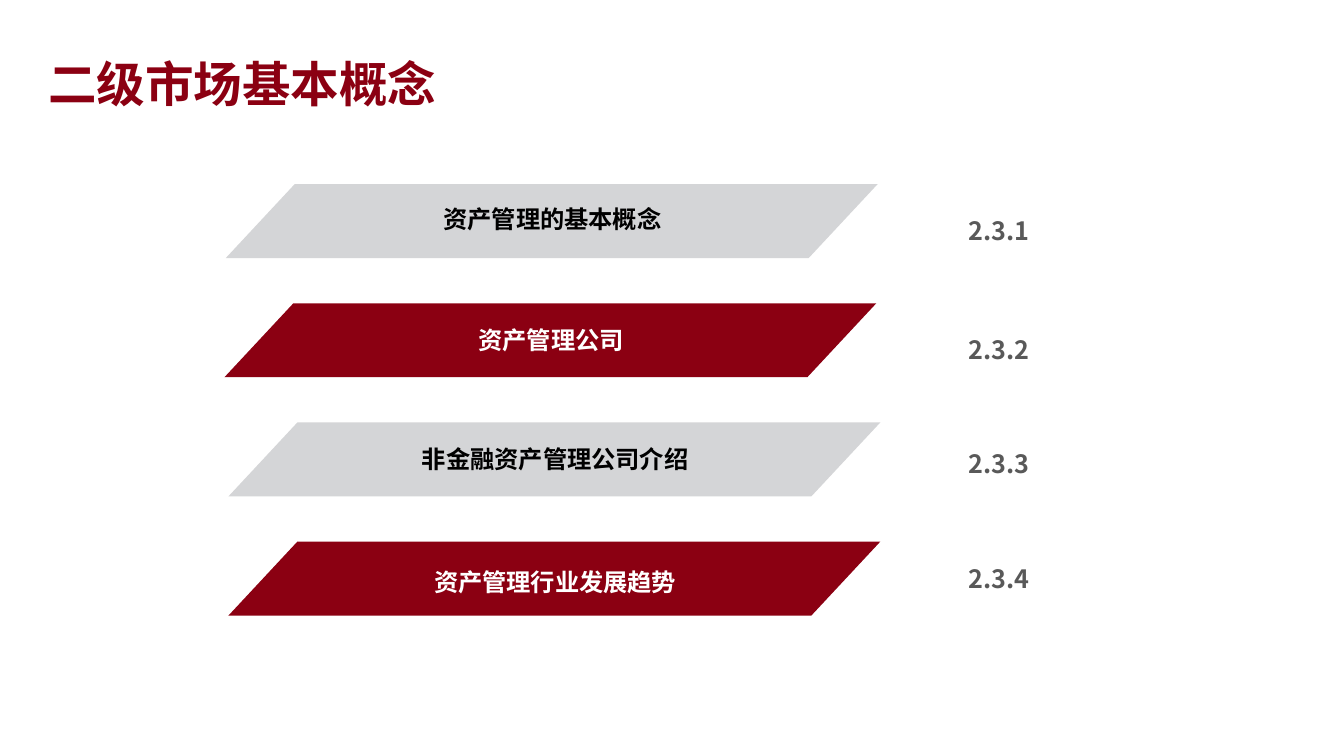
import pptx
import pptx.util
import pptx.dml.color
import pptx.enum.shapes
import pptx.enum.text
import pptx.oxml.ns
import lxml.etree

Inches = pptx.util.Inches
RGBColor = pptx.dml.color.RGBColor
ALIGN = pptx.enum.text.PP_ALIGN

RED = RGBColor(0x8B, 0x00, 0x12)
GREY = RGBColor(0xD4, 0xD5, 0xD7)
DARK = RGBColor(0x59, 0x59, 0x59)
BLACK = RGBColor(0x00, 0x00, 0x00)
WHITE = RGBColor(0xFF, 0xFF, 0xFF)
FONT = "Noto Sans CJK SC"

# Label, left shift of the row, label drop, number drop
ROWS = [
    ("资产管理的基本概念", 0.01, 0.06, 0.14),
    ("资产管理公司", 0, 0.07, 0.14),
    ("非金融资产管理公司介绍", 0.03, 0.07, 0.10),
    ("资产管理行业发展趋势", 0.03, 0.10, 0.07),
]


def add_text(slide, box, text, size, color, align, space):
    """Place one bold line of text in a box of left, top, width, height."""
    frame = slide.shapes.add_textbox(*map(Inches, box)).text_frame
    frame.word_wrap = True
    line = frame.paragraphs[0]
    run = line.add_run()
    run.text = text
    line.alignment = align
    line.line_spacing = space
    font = line.font
    font.name, font.size, font.bold = FONT, pptx.util.Pt(size), True
    font.color.rgb = color
    # East Asian face, on the run so that it takes effect
    face = lxml.etree.SubElement(run._r.get_or_add_rPr(),
                                 pptx.oxml.ns.qn("a:ea"))
    face.set("typeface", FONT)


def add_title(slide, box):
    add_text(slide, box, "二级市场基本概念", 26, RED, ALIGN.LEFT, 1.14)


def add_band(slide, box, label, fill, color, drop):
    """Draw a slanted band with its label."""
    left, top = box[:2]
    band = slide.shapes.add_shape(
        pptx.enum.shapes.MSO_SHAPE.PARALLELOGRAM, *map(Inches, box))
    band.adjustments[0] = 0.932
    band.shadow.inherit = False
    band.fill.solid()
    band.fill.fore_color.rgb = fill
    band.line.fill.background()
    add_text(slide, (left + 0.73, top + drop, 3.4, 0.34),
             label, 13, color, ALIGN.CENTER, 1.2)


def add_list(slide, box):
    """Stack the bands evenly, with the section numbers in a right column."""
    left, top, width, height = box
    band = 0.55
    step = (height - band) / (len(ROWS) - 1)
    for i, (label, shift, drop, fall) in enumerate(ROWS):
        y = top + i * step
        fill, color = ((GREY, BLACK), (RED, WHITE))[i % 2]
        add_band(slide, (left + shift, y, 4.85, band),
                 label, fill, color, drop)
        # Section number
        add_text(slide, (left + width - 1.51, y + fall, 1.51, 0.35),
                 f"2.3.{i + 1}", 13.5, DARK, ALIGN.CENTER, 1.2)


def main():
    deck = pptx.Presentation()
    # Widescreen, 16 to 9
    deck.slide_width = Inches(10)
    deck.slide_height = Inches(10 * 9 / 16)
    slide = deck.slides.add_slide(deck.slide_layouts[6])
    add_list(slide, (1.67, 1.37, 6.52, 3.21))
    add_title(slide, (0.26, 0.29, 3.7, 0.56))
    deck.save("out.pptx")


if __name__ == "__main__":
    main()
